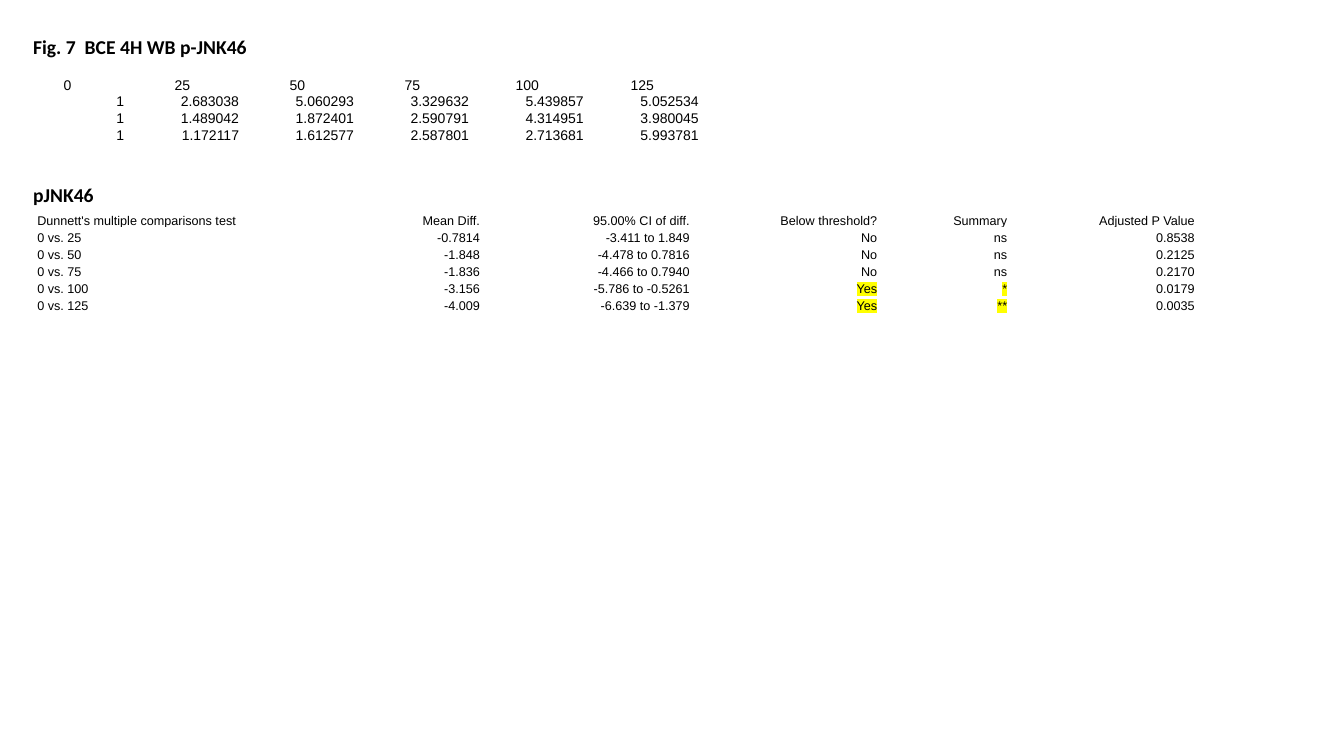
from dataclasses import dataclass

from lxml.etree import SubElement
from pptx import Presentation
from pptx.dml.color import RGBColor
from pptx.enum.text import MSO_ANCHOR, MSO_AUTO_SIZE, PP_ALIGN
from pptx.oxml.ns import qn
from pptx.util import Inches, Pt


@dataclass(frozen=True)
class Theme:
    text: str = "000000"
    highlight: str = "FFFF00"
    heading_font: str = "Calibri"
    table_font: str = "Arial"
    heading_size: int = 14
    density_size: int = 10
    comparison_size: int = 9


theme = Theme()


def write_text(frame, text, font, size, bold=False, align=PP_ALIGN.LEFT, highlight=None):
    paragraph = frame.paragraphs[0]
    paragraph.alignment = align
    run = paragraph.add_run()
    run.text = text
    run.font.size = Pt(size)
    run.font.bold = bold
    run.font.color.rgb = RGBColor.from_string(theme.text)
    if highlight:
        # The schema places the highlight between the fill and the font name.
        mark = SubElement(run.font._element, qn("a:highlight"))
        SubElement(mark, qn("a:srgbClr")).set("val", highlight)
    run.font.name = font


def add_plain_table(slide, rows, left, top, widths, heights, size, align_for):
    """Add an unstyled table; align_for gives the alignment at (row, column)."""
    table = slide.shapes.add_table(
        len(rows), len(widths), Inches(left), Inches(top),
        Inches(sum(widths)), Inches(sum(heights))).table
    table.first_row = False
    table.horz_banding = False
    for column, width in zip(table.columns, widths):
        column.width = Inches(width)
    for row_index, values in enumerate(rows):
        table.rows[row_index].height = Inches(heights[row_index])
        for column_index, value in enumerate(values):
            cell = table.cell(row_index, column_index)
            cell.fill.background()
            cell.vertical_anchor = MSO_ANCHOR.BOTTOM
            cell.margin_left = cell.margin_right = cell.margin_top = Inches(0.01)
            cell.margin_bottom = 0
            significant = value in ("Yes", "*", "**")
            write_text(cell.text_frame, value, theme.table_font, size,
                       align=align_for(row_index, column_index),
                       highlight=theme.highlight if significant else None)


presentation = Presentation()
presentation.slide_width = Inches(13.33)
presentation.slide_height = Inches(7.5)
slide = presentation.slides.add_slide(presentation.slide_layouts[6])

density_rows = [
    ("0", "25", "50", "75", "100", "125"),
    ("1", "2.683038", "5.060293", "3.329632", "5.439857", "5.052534"),
    ("1", "1.489042", "1.872401", "2.590791", "4.314951", "3.980045"),
    ("1", "1.172117", "1.612577", "2.587801", "2.713681", "5.993781"),
]
add_plain_table(
    slide, density_rows, 0.1, 0.76, [1.14] * 6, [0.16] * 4, theme.density_size,
    lambda row, column: PP_ALIGN.CENTER if row == 0 else PP_ALIGN.RIGHT)

comparison_rows = [
    ("Dunnett's multiple comparisons test", "Mean Diff.", "95.00% CI of diff.",
     "Below threshold?", "Summary", "Adjusted P Value"),
    ("0 vs. 25", "-0.7814", "-3.411 to 1.849", "No", "ns", "0.8538"),
    ("0 vs. 50", "-1.848", "-4.478 to 0.7816", "No", "ns", "0.2125"),
    ("0 vs. 75", "-1.836", "-4.466 to 0.7940", "No", "ns", "0.2170"),
    ("0 vs. 100", "-3.156", "-5.786 to -0.5261", "Yes", "*", "0.0179"),
    ("0 vs. 125", "-4.009", "-6.639 to -1.379", "Yes", "**", "0.0035"),
]
add_plain_table(
    slide, comparison_rows, 0.36, 2.03, [3.24, 1.17, 2.08, 1.86, 1.29, 1.86],
    [0.23] + [0.17] * 5, theme.comparison_size,
    lambda row, column: PP_ALIGN.LEFT if column == 0 else PP_ALIGN.RIGHT)

headings = [("Fig. 7  BCE 4H WB p-JNK46", 0.3, 2.38), ("pJNK46", 1.77, 0.81)]
for heading, top, width in headings:
    box = slide.shapes.add_textbox(Inches(0.23), Inches(top), Inches(width), Inches(0.34))
    box.text_frame.word_wrap = False
    box.text_frame.auto_size = MSO_AUTO_SIZE.SHAPE_TO_FIT_TEXT
    write_text(box.text_frame, heading, theme.heading_font, theme.heading_size, bold=True)

presentation.save("out.pptx")
